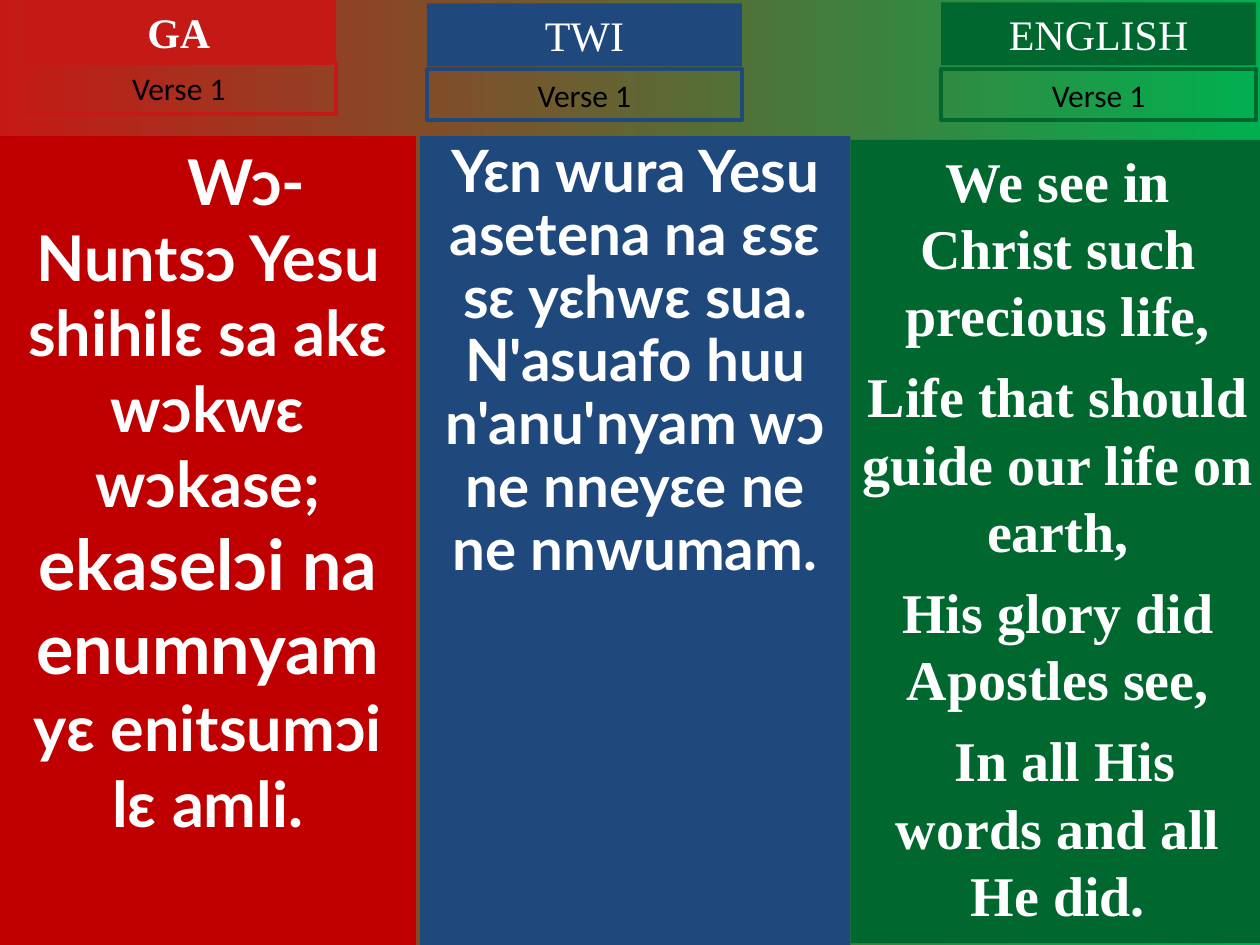
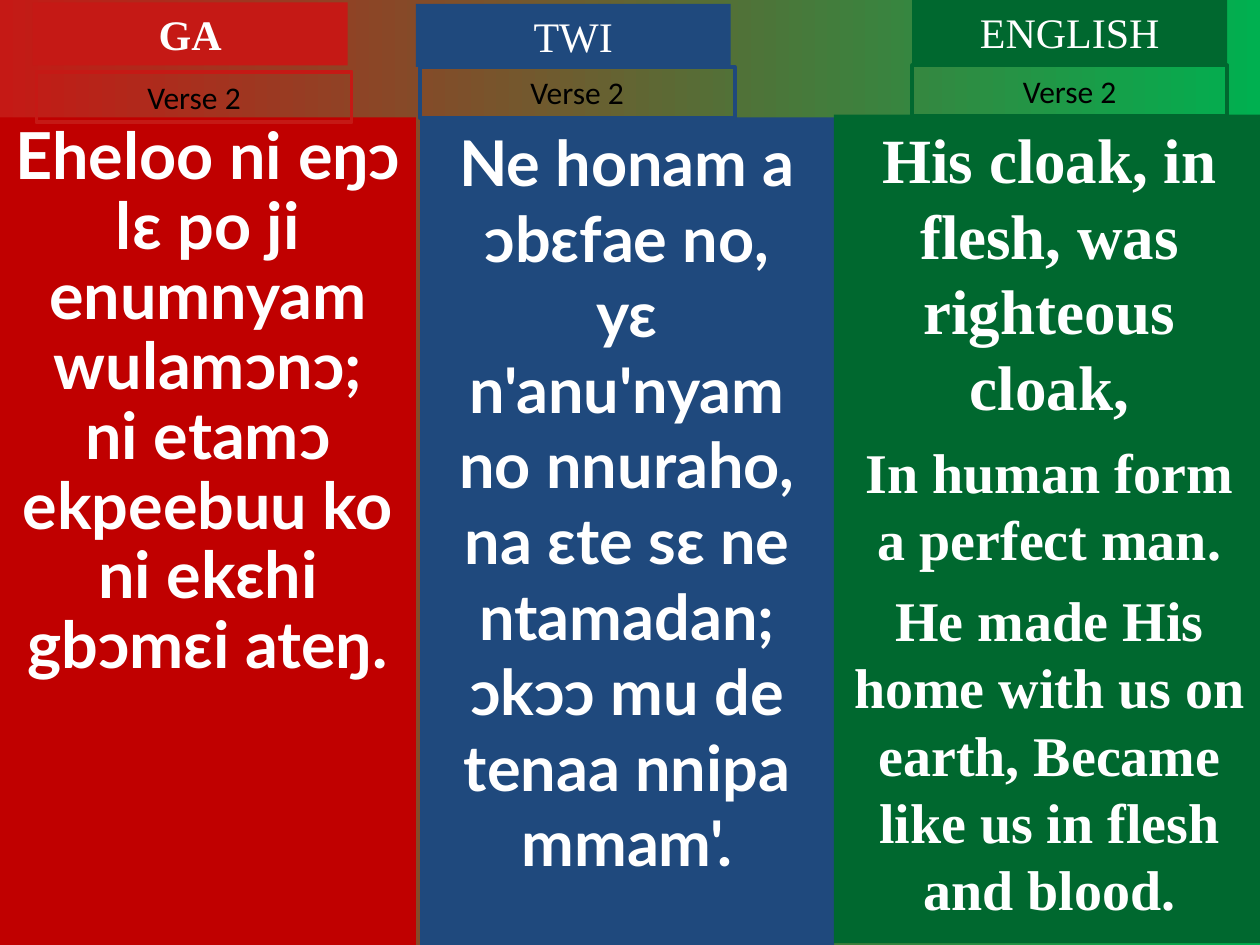
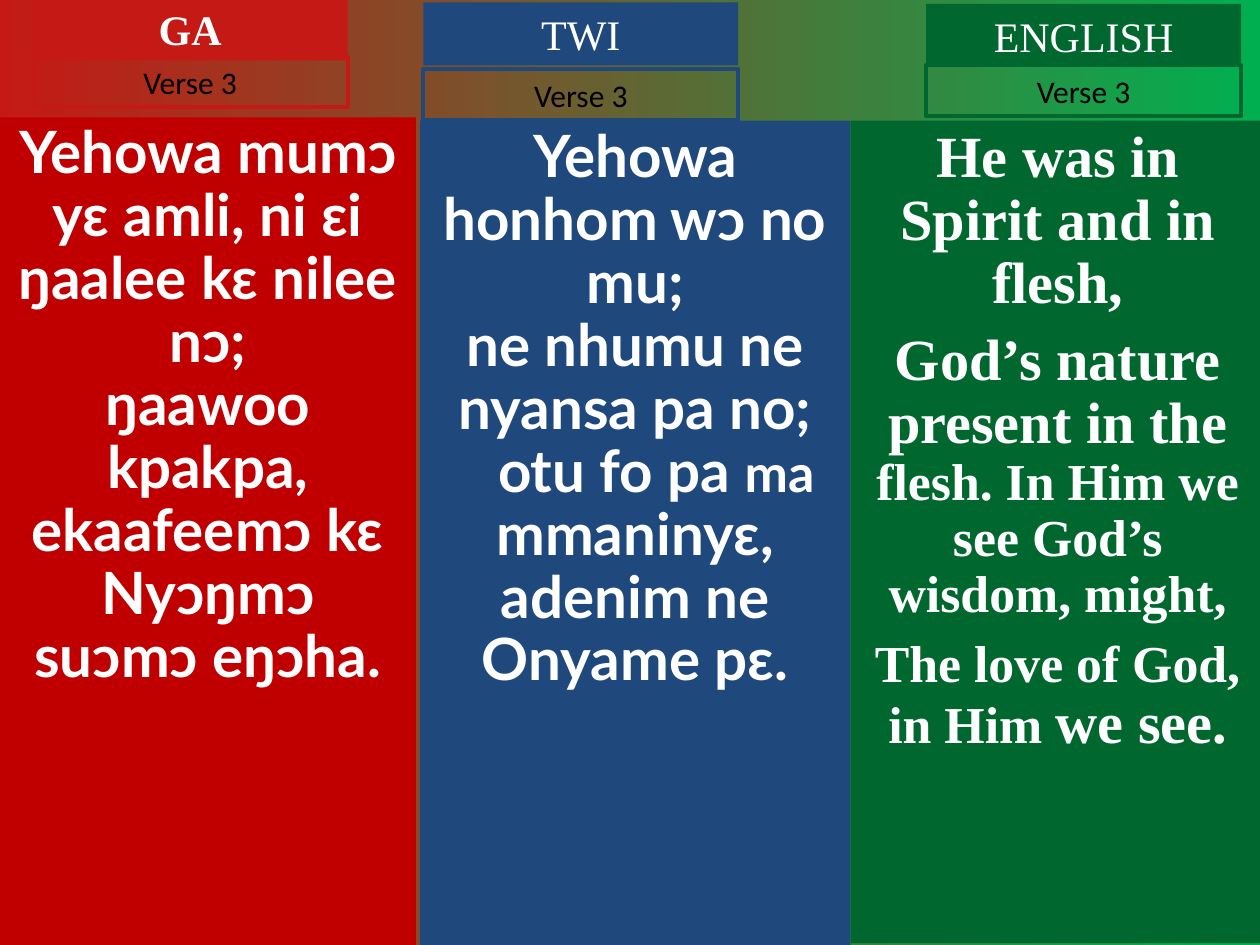
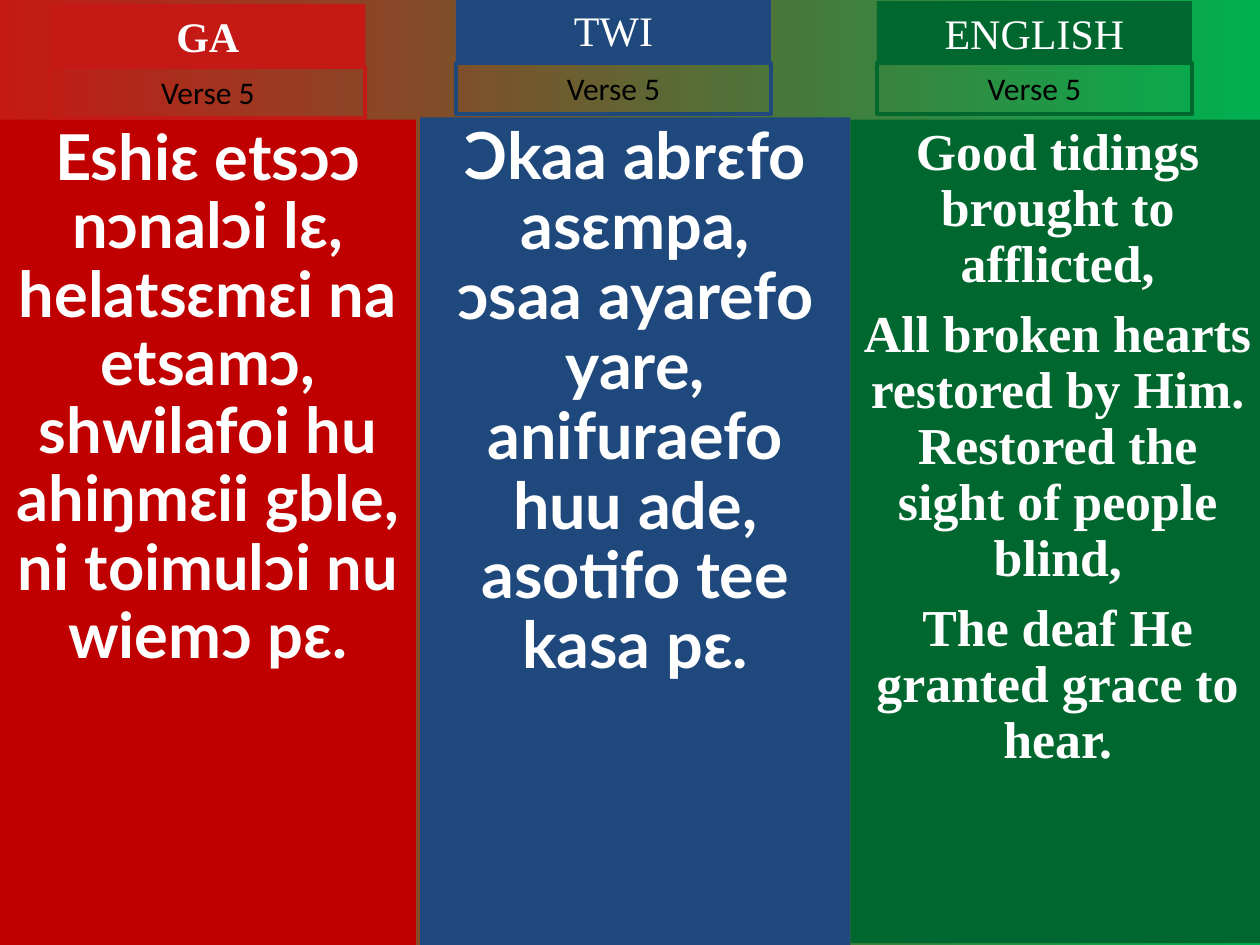
from dataclasses import dataclass

from lxml.etree import SubElement
from pptx import Presentation
from pptx.dml.color import RGBColor
from pptx.enum.text import MSO_ANCHOR, MSO_AUTO_SIZE as AutoSize, PP_ALIGN
from pptx.oxml.ns import qn
from pptx.util import Pt

COLORS = {
    "ga_panel": "C00000",
    "ga": "C51915",
    "twi": "1F497D",
    "english": "00682F",
    "sky_end": "00B050",
    "white": "FFFFFF",
    "black": "000000",
}
SLIDE_W, SLIDE_H = 720, 540
LABEL_W, HEADING_H, VERSE_H = 180, 36, 29
GA_RIGHT, TWI_LEFT, ENGLISH_RIGHT = 237.6, 240, 723
ENGLISH_BOTTOM = 539
TWO_CONTENT = 3


@dataclass
class Language:
    name: str
    accent: str
    panel: str
    font: str
    space_before: float = 0
    bold_heading: bool = False


@dataclass
class Line:
    runs: list  # (text, size) pairs; size None means the stanza size
    indent: float = 0


@dataclass
class Stanza:
    heading_at: tuple
    verse_at: tuple
    top: float
    size: float
    lines: list
    spacing: float = 0.9


LANGUAGES = [
    Language("GA", "ga", "ga_panel", "Lato", bold_heading=True),
    Language("TWI", "twi", "twi", "Lato"),
    Language("ENGLISH", "english", "english", "Times New Roman", space_before=8),
]

# Verse number, left edge of the English panel, stanzas in language order
VERSES = [
    (1, 486, [
        Stanza((12.2, 0), (12.2, 36), 77.8, 36, [
            Line([("Wɔ- Nuntsɔ Yesu shihilɛ sa akɛ wɔkwɛ wɔkase;", None)], indent=44),
            Line([("ekaselɔi na enumnyam ", 40), ("yɛ enitsumɔi lɛ amli.", None)]),
        ], spacing=1),
        Stanza((244, 2), (244, 39.6), 77.8, 33.3, [
            "Yɛn wura Yesu asetena na ɛsɛ sɛ yɛhwɛ sua.",
            "N'asuafo huu n'anu'nyam wɔ ne nneyɛe ne ne nnwumam.",
        ]),
        Stanza((537.8, 1.4), (537.8, 39.6), 80, 32, [
            "We see in Christ such precious life,",
            "Life that should guide our life on earth,",
            "His glory did Apostles see,",
            " In all His words and all He did.",
        ], spacing=1),
    ]),
    (2, 476.6, [
        Stanza((18.7, 1.4), (20.9, 41), 67, 37, [
            "Eheloo ni eŋɔ lɛ po ji enumnyam wulamɔnɔ;",
            "ni etamɔ ekpeebuu ko ni ekɛhi gbɔmɛi ateŋ.",
        ]),
        Stanza((237.6, 2.2), (239.8, 38.2), 67, 36, [
            "Ne honam a ɔbɛfae no,",
            "yɛ n'anu'nyam no nnuraho,",
            "na ɛte sɛ ne ntamadan;",
            "ɔkɔɔ mu de tenaa nnipa mmam'.",
        ], spacing=1),
        Stanza((521.3, 0), (521.3, 37.4), 65.5, 32, [
            Line([("His cloak, in flesh, was righteous cloak,", 36)]),
            "In human form a perfect man.",
            "He made His home with us on earth, Became like us in flesh and blood.",
        ], spacing=1),
    ]),
    (3, 486, [
        Stanza((18.7, -1.4), (18.7, 32.4), 67, 33.3, [
            "Yehowa mumɔ yɛ amli, ni ɛi ŋaalee kɛ nilee nɔ;",
            "ŋaawoo kpakpa, ekaafeemɔ kɛ Nyɔŋmɔ suɔmɔ eŋɔha.",
        ]),
        Stanza((241.9, 1.4), (241.9, 39.6), 69, 33.3, [
            "Yehowa honhom wɔ no mu;",
            "ne nhumu ne nyansa pa no;",
            Line([("otu fo pa ", None), ("ma ", 29.6), ("mmaninyɛ,", None)], indent=24),
            "adenim ne Onyame pɛ.",
        ]),
        Stanza((529.2, 2.2), (529.2, 37.4), 69, 33.3, [
            "He was in Spirit and in flesh,",
            Line([("God’s nature present in the ", None),
                  ("flesh. In Him we see God’s wisdom, might,", 29.6)]),
            Line([("The love of God, in Him ", 29.6), ("we see.", None)]),
        ]),
    ]),
    (5, 486, [
        Stanza((28.8, 2.2), (28.8, 38.2), 68.4, 36.1, [
            "Eshiɛ etsɔɔ nɔnalɔi lɛ, helatsɛmɛi na etsamɔ,",
            "shwilafoi hu ahiŋmɛii gble, ni toimulɔi nu wiemɔ pɛ.",
        ]),
        Stanza((260.6, -0.7), (260.6, 36), 67, 37, [
            "Ɔkaa abrɛfo asɛmpa,",
            "ɔsaa ayarefo yare,",
            "anifuraefo huu ade,",
            "asotifo tee kasa pɛ.",
        ]),
        Stanza((501.1, 0.7), (501.1, 36), 68.4, 29.6, [
            "Good tidings brought to afflicted,",
            "All broken hearts restored by Him. Restored the sight of people blind,",
            "The deaf He granted grace to hear.",
        ]),
    ]),
]


def rgb(name):
    return RGBColor.from_string(COLORS[name])


def paint_background(master):
    fill = master.background.fill
    fill.gradient()
    fill.gradient_angle = 0
    for stop, name in zip(fill.gradient_stops, ("ga", "sky_end")):
        stop.color.rgb = rgb(name)


def fill_solid(box, name):
    box.fill.solid()
    box.fill.fore_color.rgb = rgb(name)


def setup_frame(box, auto_size):
    frame = box.text_frame
    frame.word_wrap = True
    frame.auto_size = auto_size
    frame.vertical_anchor = MSO_ANCHOR.TOP
    return frame


def add_run(paragraph, text, font, size, color, bold=False):
    run = paragraph.add_run()
    run.text = text
    run.font.name = font
    run.font.size = Pt(size)
    run.font.bold = bold
    run.font.color.rgb = rgb(color)


def add_label(slide, at, height, text, font, size, color, bold=False):
    label = slide.shapes.add_textbox(Pt(at[0]), Pt(at[1]), Pt(LABEL_W), Pt(height))
    paragraph = setup_frame(label, AutoSize.SHAPE_TO_FIT_TEXT).paragraphs[0]
    paragraph.alignment = PP_ALIGN.CENTER
    add_run(paragraph, text, font, size, color, bold)
    return label


def add_heading(slide, language, at):
    heading = add_label(slide, at, HEADING_H, language.name, "Times New Roman", 24,
                        "white", language.bold_heading)
    fill_solid(heading, language.accent)


def add_verse_tag(slide, language, at, number):
    tag = add_label(slide, at, VERSE_H, f"Verse {number}", "Calibri", 18, "black")
    tag.line.color.rgb = rgb(language.accent)
    tag.line.width = Pt(2.25)


def write_stanza(panel, language, stanza):
    frame = setup_frame(panel, AutoSize.NONE)
    for index, line in enumerate(stanza.lines):
        if isinstance(line, str):
            line = Line([(line, None)])
        paragraph = frame.add_paragraph() if index else frame.paragraphs[0]
        properties = paragraph._p.get_or_add_pPr()
        properties.set("marL", "0")
        properties.set("indent", str(Pt(line.indent)))
        SubElement(properties, qn("a:buNone"))
        paragraph.alignment = PP_ALIGN.CENTER
        paragraph.line_spacing = stanza.spacing
        paragraph.space_before = Pt(language.space_before if index else 0)
        for text, size in line.runs:
            add_run(paragraph, text, language.font, size or stanza.size, "white", True)


def place_panel(panel, left, top, right, bottom):
    panel.left, panel.top = Pt(left), Pt(top)
    panel.width, panel.height = Pt(right - left), Pt(bottom - top)


def add_verse_slide(prs, number, english_left, stanzas):
    slide = prs.slides.add_slide(prs.slide_layouts[TWO_CONTENT])
    title = slide.shapes.title.element
    title.getparent().remove(title)

    # Stanza panels, side by side
    panels = [slide.placeholders[1], slide.placeholders[2],
              slide.shapes.add_textbox(0, 0, 0, 0)]
    edges = [(0, GA_RIGHT, SLIDE_H), (TWI_LEFT, english_left, SLIDE_H),
             (english_left, ENGLISH_RIGHT, ENGLISH_BOTTOM)]
    for panel, (left, right, bottom), language, stanza in zip(
            panels, edges, LANGUAGES, stanzas):
        place_panel(panel, left, stanza.top, right, bottom)
        fill_solid(panel, language.panel)
        write_stanza(panel, language, stanza)

    # Language headings and verse tags above the panels
    for language, stanza in zip(LANGUAGES, stanzas):
        add_heading(slide, language, stanza.heading_at)
        add_verse_tag(slide, language, stanza.verse_at, number)


def main():
    prs = Presentation()
    prs.slide_width, prs.slide_height = Pt(SLIDE_W), Pt(SLIDE_H)
    paint_background(prs.slide_master)
    for number, english_left, stanzas in VERSES:
        add_verse_slide(prs, number, english_left, stanzas)
    prs.save("out.pptx")


if __name__ == "__main__":
    main()
